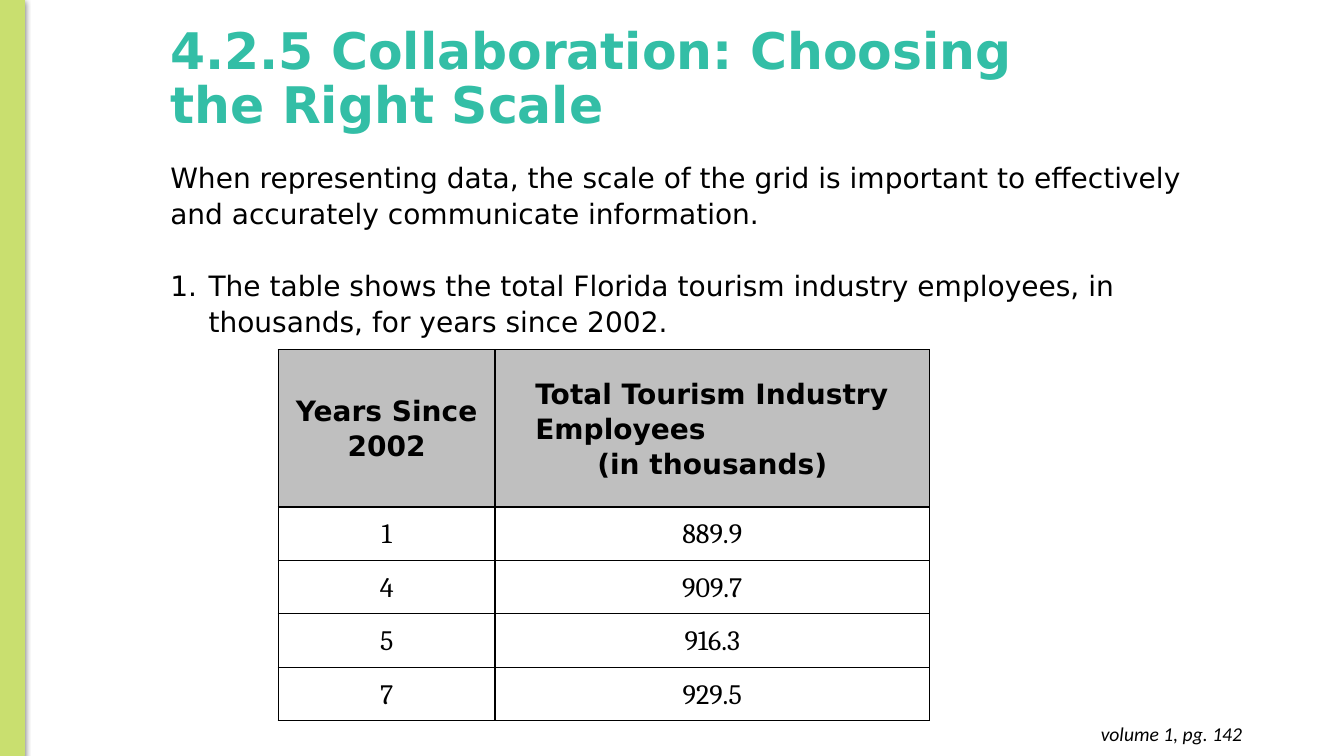
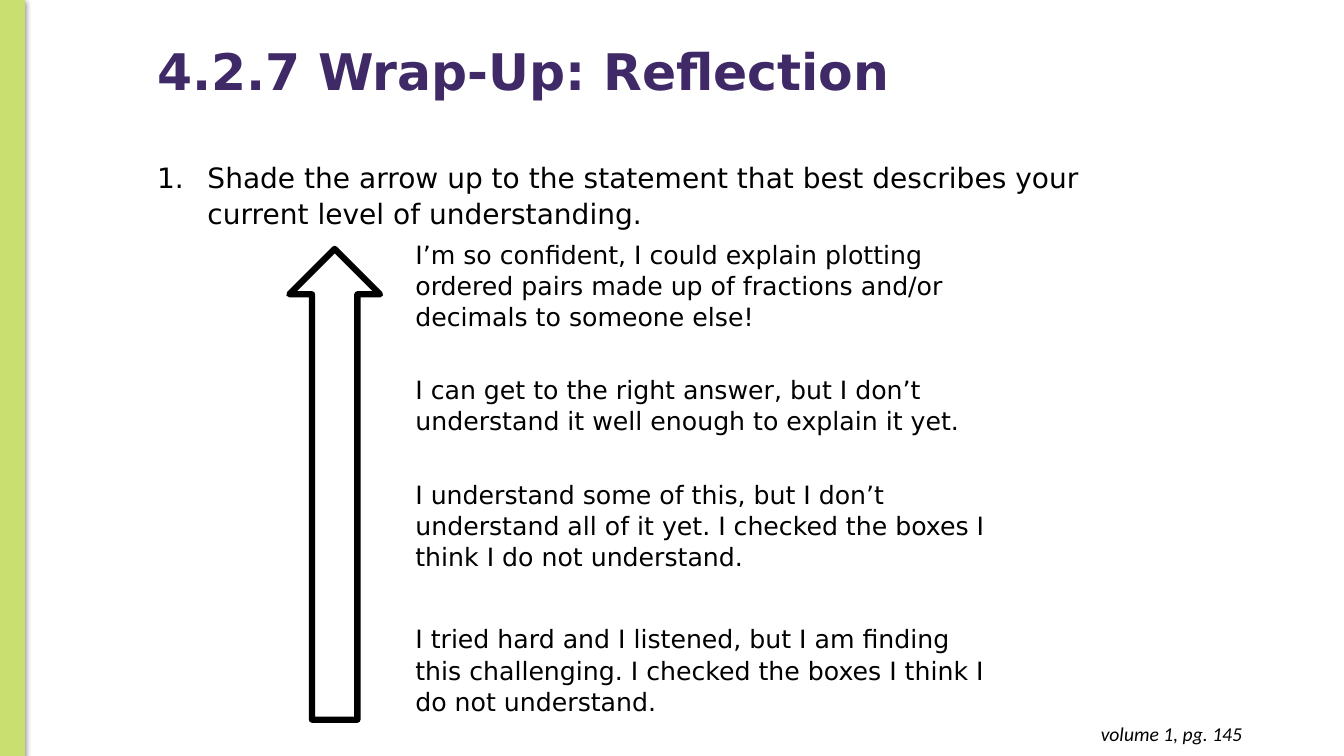
from pptx import Presentation
from pptx.dml.color import RGBColor
from pptx.enum.shapes import MSO_SHAPE as Shape
from pptx.enum.text import MSO_ANCHOR as Anchor, MSO_AUTO_SIZE as AutoSize, PP_ALIGN as Align
from pptx.oxml import parse_xml
from pptx.oxml.ns import nsdecls, qn
from pptx.util import Inches, Pt

COLORS = {
    "black": "000000",
    "lime": "C9DF6F",
    "teal": "33BEA6",
    "purple": "3F2A67",
    "gray": "BFBFBF",
}
SANS = "DejaVu Sans"
NAMESPACE = nsdecls("a")


def write(paragraph, text, size, font=SANS, color="black", bold=False, italic=False,
          align=Align.LEFT, spacing=1.07):
    paragraph.alignment = align
    paragraph.line_spacing = spacing
    run = paragraph.add_run()
    run.text = text
    run.font.size = Pt(size)
    run.font.name = font
    run.font.bold = bold
    run.font.italic = italic
    run.font.color.rgb = RGBColor.from_string(COLORS[color])


def start_slide(title_text, title_color, left, top, page, body_width, body_height, indent):
    slide = presentation.slides.add_slide(presentation.slide_layouts[5])

    bar = slide.shapes.add_shape(Shape.RECTANGLE, 0, 0, Inches(0.24), Inches(7.5))
    bar.fill.solid()
    bar.fill.fore_color.rgb = RGBColor.from_string(COLORS["lime"])
    bar.line.color.rgb = RGBColor.from_string(COLORS["lime"])
    bar.line.width = Pt(0.75)
    bar.shadow.inherit = False
    bar.element.spPr.find(qn("a:effectLst")).append(parse_xml(
        f'<a:outerShdw {NAMESPACE} blurRad="{Pt(4.5)}" dist="{Pt(1.5)}" dir="5400000">'
        f'<a:srgbClr val="{COLORS["black"]}"><a:alpha val="50000"/></a:srgbClr></a:outerShdw>'))

    title = slide.shapes.title
    title.left, title.top = Inches(left), Inches(top)
    title.width, title.height = Inches(8.77), Inches(1.45)
    title.text_frame.auto_size = AutoSize.NONE
    title.text_frame.word_wrap = True
    title.text_frame.vertical_anchor = Anchor.MIDDLE
    write(title.text_frame.paragraphs[0], title_text, 36, color=title_color, bold=True, spacing=0.9)

    body = slide.shapes.add_textbox(
        Inches(left), Inches(1.52), Inches(body_width), Inches(body_height))
    body.text_frame.word_wrap = True

    footer = slide.shapes.add_textbox(Inches(9.54), Inches(7.06), Inches(2.88), Inches(0.44))
    footer.text_frame.word_wrap = True
    footer.text_frame.margin_top = footer.text_frame.margin_bottom = Inches(0.1)
    write(footer.text_frame.paragraphs[0], f"volume 1, pg. {page}", 14, font="Calibri",
          italic=True, align=Align.RIGHT, spacing=1.0)

    question = body.text_frame.paragraphs[0]
    if page == 142:
        write(question, "When representing data, the scale of the grid is important to "
              "effectively and accurately communicate information.", 20)
        question = body.text_frame.add_paragraph()
        question.space_before = Pt(25.5)
    properties = question._p.get_or_add_pPr()
    properties.set("marL", str(Inches(indent)))
    properties.set("indent", str(-Inches(indent)))
    properties.append(parse_xml(f'<a:buAutoNum {NAMESPACE} type="arabicPeriod"/>'))
    return slide, question


presentation = Presentation()
presentation.slide_width = Inches(13.33)
presentation.slide_height = Inches(7.5)

slide, question = start_slide("4.2.5 Collaboration: Choosing the Right Scale", "teal",
                              1.59, 0.07, 142, 10.42, 1.9, 0.38)
write(question, "The table shows the total Florida tourism industry employees, in thousands, "
      "for years since 2002.", 20)

employee_rows = [
    ("Years Since 2002", "Total Tourism Industry Employees"),
    ("1", "889.9"),
    ("4", "909.7"),
    ("5", "916.3"),
    ("7", "929.5"),
]
employees = slide.shapes.add_table(
    len(employee_rows), 2, Inches(2.76), Inches(3.47), Inches(6.46), Inches(3.68)).table
employees.horz_banding = False
employees.columns[0].width = Inches(2.15)
employees.columns[1].width = Inches(4.31)
for row_index, values in enumerate(employee_rows):
    header = row_index == 0
    employees.rows[row_index].height = Inches(1.56 if header else 0.53)
    for column_index, value in enumerate(values):
        cell = employees.cell(row_index, column_index)
        cell.margin_left = cell.margin_right = Inches(0.07)
        cell.margin_top = cell.margin_bottom = 0
        cell.vertical_anchor = Anchor.MIDDLE
        write(cell.text_frame.paragraphs[0], value, 20, font=SANS if header else "Cambria",
              bold=header, align=Align.CENTER)
        cell_properties = cell._tc.get_or_add_tcPr()
        for side in ("lnL", "lnR", "lnT", "lnB"):
            cell_properties.append(parse_xml(
                f'<a:{side} {NAMESPACE} w="{Pt(1)}"><a:solidFill>'
                f'<a:srgbClr val="{COLORS["black"]}"/></a:solidFill></a:{side}>'))
        if header:
            cell.fill.solid()
            cell.fill.fore_color.rgb = RGBColor.from_string(COLORS["gray"])
        else:
            cell.fill.background()

total_header = employees.cell(0, 1).text_frame
total_header.paragraphs[0].alignment = Align.LEFT
total_header.paragraphs[0]._p.get_or_add_pPr().set("marL", str(Inches(0.33)))
write(total_header.add_paragraph(), "(in thousands)", 20, bold=True, align=Align.CENTER)

slide, question = start_slide("4.2.7 Wrap-Up: Reflection", "purple",
                              1.46, 0.01, 145, 9.9, 1.15, 0.5)
write(question, "Shade the arrow up to the statement that best describes your current level "
      "of understanding.", 20)

statements = [
    (1.34, "I’m so confident, I could explain plotting ordered pairs made up of fractions "
           "and/or decimals to someone else!"),
    (1.04, "I can get to the right answer, but I don’t understand it well enough to explain "
           "it yet."),
    (1.35, "I understand some of this, but I don’t understand all of it yet. I checked the "
           "boxes I think I do not understand."),
    (1.16, "I tried hard and I listened, but I am finding this challenging. I checked the "
           "boxes I think I do not understand."),
]
levels = slide.shapes.add_table(
    len(statements), 2, Inches(3.27), Inches(2.34), Inches(6.6), Inches(4.89)).table
levels.first_row = False
levels.horz_banding = False
levels.columns[0].width = Inches(0.79)
levels.columns[1].width = Inches(5.81)
for row_index, (height, statement) in enumerate(statements):
    levels.rows[row_index].height = Inches(height)
    levels.cell(row_index, 0).fill.background()
    cell = levels.cell(row_index, 1)
    cell.fill.background()
    cell.margin_left = cell.margin_right = Inches(0.06)
    cell.margin_top = cell.margin_bottom = Inches(0.03)
    write(cell.text_frame.paragraphs[0], statement, 18)
levels.cell(len(statements) - 1, 1).vertical_anchor = Anchor.MIDDLE
levels.cell(0, 0).merge(levels.cell(len(statements) - 1, 0))

arrow = slide.shapes.add_shape(
    Shape.UP_ARROW, Inches(2.87), Inches(2.47), Inches(0.9), Inches(4.67))
arrow.shadow.inherit = False
arrow.fill.background()
arrow.line.color.rgb = RGBColor.from_string(COLORS["black"])
arrow.line.width = Pt(4.5)

presentation.save("out.pptx")
